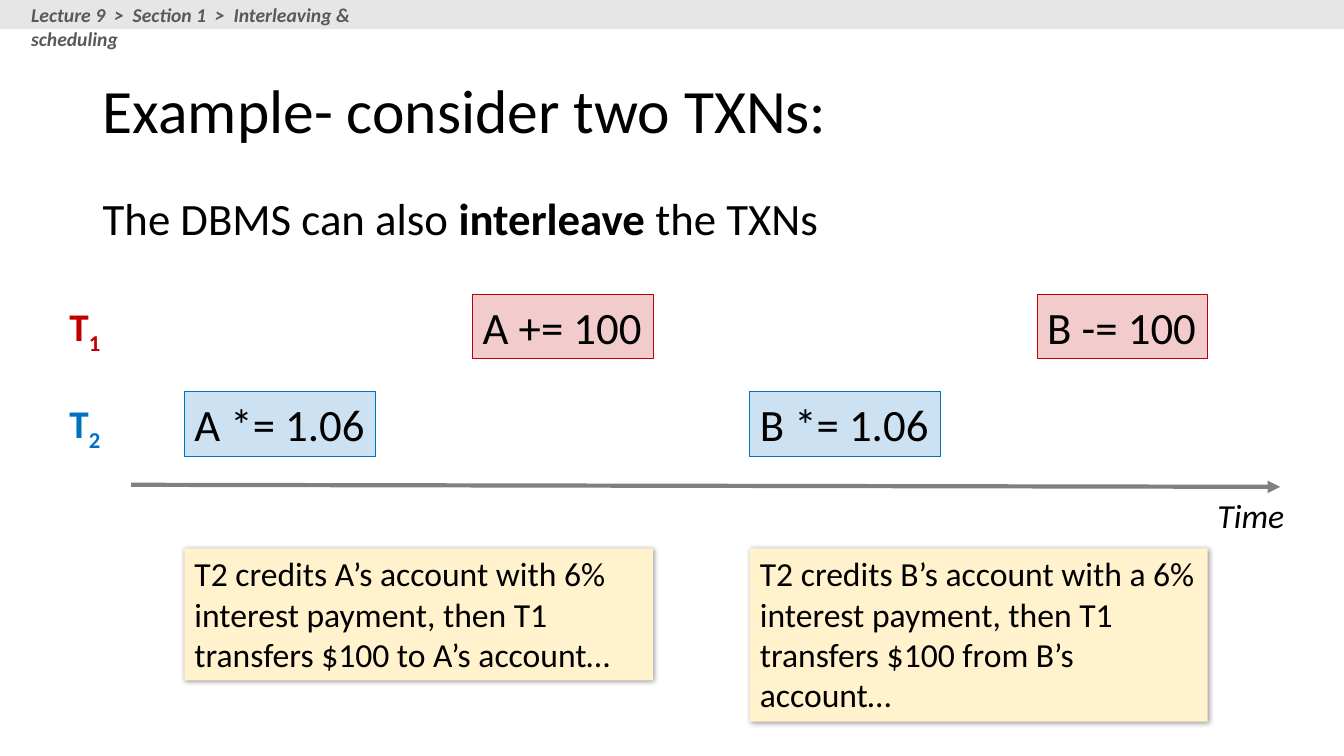
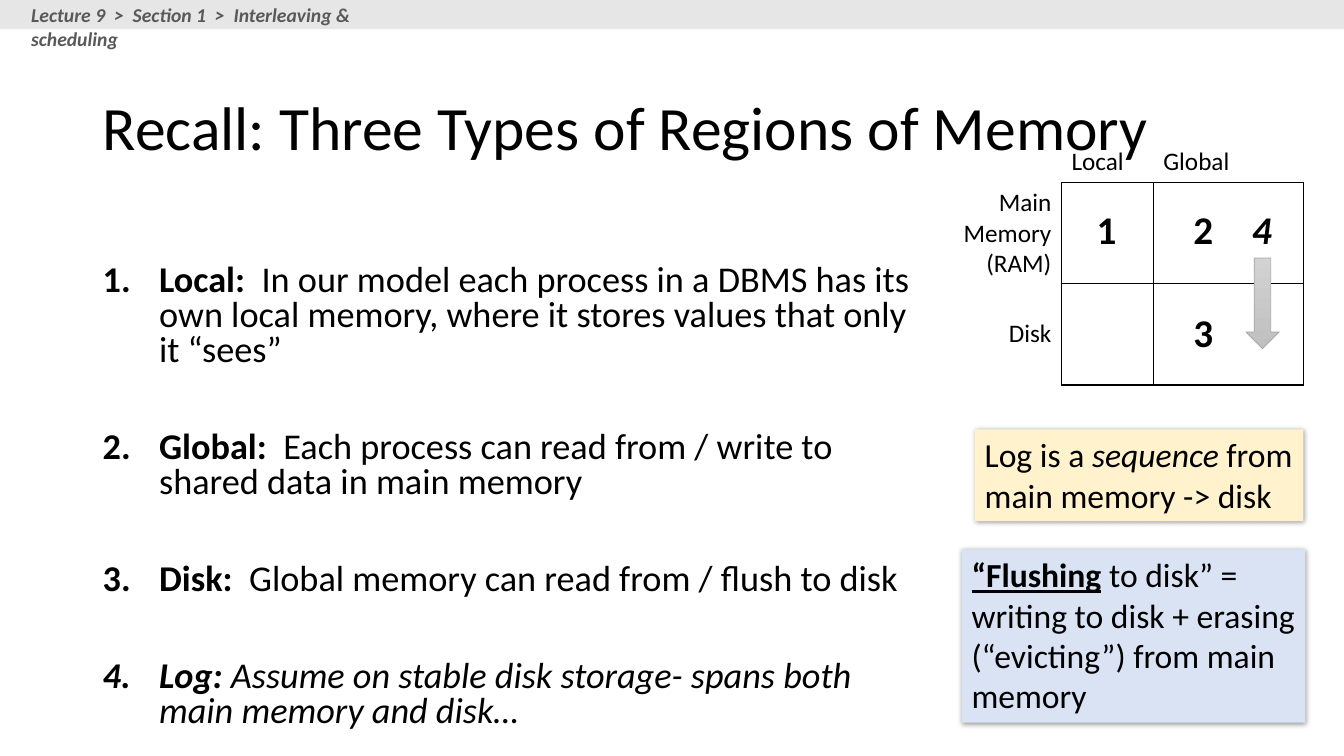
from lxml.etree import SubElement
from pptx import Presentation
from pptx.dml.color import RGBColor
from pptx.enum.shapes import MSO_CONNECTOR, MSO_SHAPE
from pptx.enum.text import MSO_ANCHOR, PP_ALIGN
from pptx.oxml import parse_xml
from pptx.oxml.ns import nsdecls, qn
from pptx.util import Inches, Pt

COLORS = {
    "ink": "000000", "band": "E7E6E6", "crumb": "595959", "axis": "808080",
    "t1": "C00000", "t2": "0070C0", "note": "FFF2CC", "define": "DAE3F3",
    "arrow_top": "D2D2D2", "arrow_end": "C0C0C0", "arrow_line": "A5A5A5",
}
RGB = {name: RGBColor.from_string(value) for name, value in COLORS.items()}
FONT = "Calibri"
LEFT = 6.9  # left edge of titles and body text, in percent of the width

prs = Presentation()
prs.slide_width, prs.slide_height = Inches(13.333), Inches(7.5)
X, Y = prs.slide_width / 100, prs.slide_height / 100  # one percent of each side


def write(p, text, size=24, color="ink", style="", align=None):
    """Fill a paragraph from a string or (text, style) pairs.

    Style letters: b bold, i italic, u underline, s subscript.
    """
    p.alignment = align
    for part, marks in [(text, style)] if isinstance(text, str) else text:
        r = p.add_run()
        r.text = part
        r.font.name, r.font.size, r.font.color.rgb = FONT, Pt(size), RGB[color]
        r.font.bold, r.font.italic = "b" in marks, "i" in marks
        r.font.underline = "u" in marks
        if "s" in marks:
            r.font._element.set("baseline", "-25000")


def add_box(s, at, text="", fill=None, line=None, alpha=None, shadow=False,
            wrap=True, anchor=MSO_ANCHOR.TOP, **fmt):
    """Add a text box, or a rectangle when filled; at is in slide percent."""
    x, y, w, h = at
    frame = [int(v) for v in (x * X, y * Y, w * X, h * Y)]
    if fill:
        sp = s.shapes.add_shape(MSO_SHAPE.RECTANGLE, *frame)
        sp.shadow.inherit = False
        sp.fill.solid()
        sp.fill.fore_color.rgb = RGB[fill]
        if alpha:
            rgb = sp._element.spPr.find(".//" + qn("a:srgbClr"))
            SubElement(rgb, qn("a:alpha"), val=str(alpha * 1000))
        if line:
            sp.line.color.rgb, sp.line.width = RGB[line], Pt(0.75)
        else:
            sp.line.fill.background()
        if shadow:
            effects = sp._element.spPr.find(qn("a:effectLst"))
            effects.append(parse_xml(
                f'<a:outerShdw {nsdecls("a")} blurRad="50800" dist="12700" '
                'dir="2700000" algn="tl" rotWithShape="0"><a:srgbClr val="000000">'
                '<a:alpha val="40000"/></a:srgbClr></a:outerShdw>'))
    else:
        sp = s.shapes.add_textbox(*frame)
    tf = sp.text_frame
    tf.word_wrap, tf.vertical_anchor = wrap, anchor
    if text:
        write(tf.paragraphs[0], text, align=PP_ALIGN.LEFT, **fmt)
    return sp


# Title and breadcrumb band of both slides
slides = []
for title, top in (("Example- consider two TXNs:", 5.33),
                   ("Recall: Three Types of Regions of Memory", 7.6)):
    s = prs.slides.add_slide(prs.slide_layouts[6])
    sp = add_box(s, (LEFT, top, 86.25, 19.33), title, size=44, anchor=MSO_ANCHOR.MIDDLE)
    sp.text_frame.paragraphs[0].line_spacing = 0.9
    add_box(s, (0, 0, 100, 3.87), fill="band")
    add_box(s, (1.58, -0.27, 31.35, 4.53),
            "Lecture 9  >  Section 1  >  Interleaving & scheduling",
            size=14, color="crumb", style="bi")
    slides.append(s)
schedule, memory = slides

# Slide 1: interleaved schedule on a time axis
s = schedule
add_box(s, (LEFT, 24.53, 55.28, 8.53),
        [("The DBMS can also ", ""), ("interleave", "b"), (" the TXNs", "")],
        size=32, wrap=False)

axis = s.shapes.add_connector(MSO_CONNECTOR.STRAIGHT, int(9.75 * X), int(64.13 * Y),
                              int(95.25 * X), int(64.4 * Y))
axis.line.color.rgb, axis.line.width = RGB["axis"], Pt(3)
SubElement(axis.line._get_or_add_ln(), qn("a:tailEnd"), type="triangle")
SubElement(axis._element.spPr, qn("a:effectLst"))
add_box(s, (89.85, 64.8, 6.53, 6.67), "Time", style="i", wrap=False)

first_col, second_col = 13.73, 55.8
lanes = (
    ("1", "t1", 38.93, (("A += 100", 35.18, 13.43), ("B -= 100", 77.18, 12.68))),
    ("2", "t2", 51.8, (("A *= 1.06", first_col, 14.25), ("B *= 1.06", second_col, 14.18))),
)
for number, color, top, operations in lanes:
    add_box(s, (4.43, top + 0.43, 3.98, 7.6), [("T", "b"), (number, "bs")],
            size=28, color=color, wrap=False)
    for text, left, width in operations:
        add_box(s, (left, top, width, 8.53), text, size=32, fill=color, alpha=20,
                line=color, wrap=False)

for left, width, height, text in (
    (first_col, 34.88, 17.47, "T2 credits A’s account with 6% interest payment, "
                              "then T1 transfers $100 to A’s account…"),
    (second_col, 34.05, 22.93, "T2 credits B’s account with a 6% interest payment, "
                               "then T1 transfers $100 from B’s account…"),
):
    add_box(s, (left, 72.53, width, height), text, fill="note", shadow=True)

# Slide 2: numbered memory regions
s = memory
regions = (
    (("Local: ", "b"), (" In our model each process in a DBMS has its own local "
                        "memory, where it stores values that only it “sees”", "")),
    (("Global:  ", "b"), ("Each process can read from / write to shared data in "
                          "main memory", "")),
    (("Disk:  ", "b"), ("Global memory can read from / flush to disk", "")),
    (("Log: ", "bi"), ("Assume on stable disk storage- spans both main memory "
                       "and disk…", "i")),
)
tf = add_box(s, (LEFT, 34.4, 62.78, 65.6)).text_frame
for i, region in enumerate(regions):
    p = tf.add_paragraph() if i else tf.paragraphs[0]
    pPr = p._p.get_or_add_pPr()
    pPr.set("marL", str(Inches(0.56)))
    pPr.set("indent", str(-Inches(0.56)))
    SubElement(pPr, qn("a:buFont"), typeface="+mj-lt")
    SubElement(pPr, qn("a:buAutoNum"), type="arabicPeriod")
    p.line_spacing = 0.8
    p.space_before = Pt(44.5 if i else 0)
    write(p, region, size=25.9)

# Memory table: only the four region cells are ruled
cols, rows = (8.55, 6.83, 11.18), (9.2, 13.2, 13.47)
labels = (("", "Local", "Global"), ("Main Memory (RAM)", "", ""), ("Disk", "", ""))
table = s.shapes.add_table(3, 3, int(70.43 * X), int(14.93 * Y),
                           int(sum(cols) * X), int(sum(rows) * Y)).table
table.first_row = table.horz_banding = False
for i in range(3):
    table.columns[i].width, table.rows[i].height = int(cols[i] * X), int(rows[i] * Y)
for r, row in enumerate(labels):
    for c, label in enumerate(row):
        cell = table.cell(r, c)
        cell.vertical_anchor = MSO_ANCHOR.MIDDLE if r else MSO_ANCHOR.BOTTOM
        ruled = {"L": r and c, "R": r, "T": r and c, "B": c}
        for side, visible in ruled.items():
            ln = SubElement(cell._tc.get_or_add_tcPr(), qn("a:ln" + side), w=str(Pt(1)))
            if visible:
                SubElement(SubElement(ln, qn("a:solidFill")), qn("a:srgbClr"),
                           val=COLORS["ink"])
            else:
                SubElement(ln, qn("a:noFill"))
        cell.fill.background()
        if label:
            write(cell.text_frame.paragraphs[0], label, size=18,
                  align=PP_ALIGN.LEFT if c else PP_ALIGN.RIGHT)

for number, left, top, width, style in (
    ("1", 80.85, 26.53, 3, "b"), ("2", 88.05, 26.53, 3.08, "b"),
    ("3", 88.05, 40.13, 4.2, "b"), ("4", 92.4, 26.53, 3.83, "bi"),
):
    add_box(s, (left, top, width, 7.6), number, size=28, style=style)

arrow = s.shapes.add_shape(MSO_SHAPE.DOWN_ARROW, int(92.7 * X), int(34.13 * Y),
                           int(2.48 * X), int(12 * Y))
arrow.shadow.inherit = False
arrow.fill.gradient()
arrow.fill.gradient_angle = 270
for stop, name in zip(arrow.fill.gradient_stops, ("arrow_top", "arrow_end")):
    stop.color.rgb = RGB[name]
arrow.line.color.rgb, arrow.line.width = RGB["arrow_line"], Pt(0.5)

add_box(s, (72.53, 56.8, 24.45, 12.13),
        [("Log is a ", ""), ("sequence", "i"), (" from main memory -> disk", "")],
        fill="note", shadow=True)
add_box(s, (71.55, 72.67, 25.58, 22.93),
        [("“Flushing", "bu"),
         (" to disk” = writing to disk + erasing (“evicting”) from main memory", "")],
        fill="define", shadow=True)

prs.save("out.pptx")
